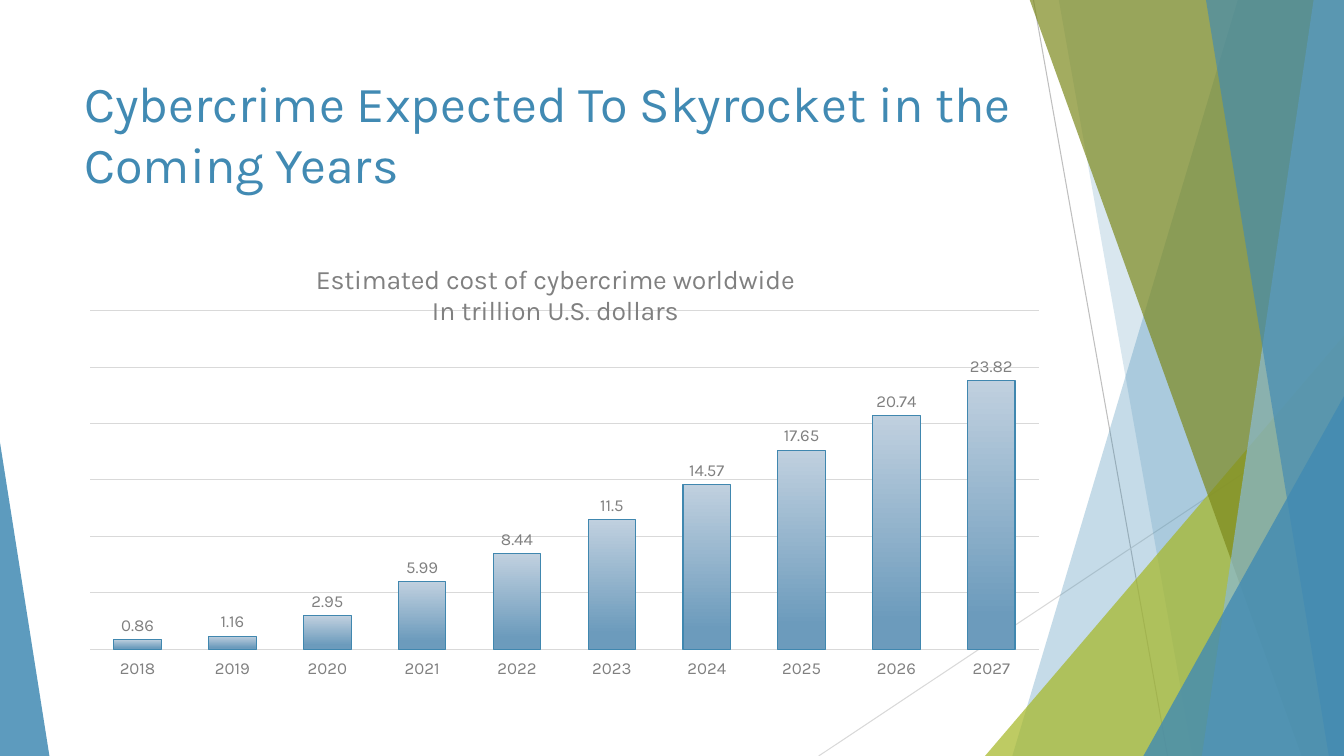
from lxml import etree
from pptx import Presentation
from pptx.chart.data import CategoryChartData
from pptx.dml.color import RGBColor
from pptx.enum.chart import XL_CHART_TYPE, XL_LABEL_POSITION, XL_TICK_LABEL_POSITION, XL_TICK_MARK
from pptx.enum.shapes import MSO_CONNECTOR, MSO_SHAPE
from pptx.enum.text import MSO_ANCHOR, PP_ALIGN
from pptx.oxml import parse_xml
from pptx.oxml.ns import nsdecls, qn
from pptx.util import Inches, Pt

COLUMN = XL_CHART_TYPE.COLUMN_CLUSTERED
OUTSIDE_END = XL_LABEL_POSITION.OUTSIDE_END
NO_TICK = XL_TICK_MARK.NONE
LOW = XL_TICK_LABEL_POSITION.LOW
STRAIGHT = MSO_CONNECTOR.STRAIGHT
TRIANGLE = MSO_SHAPE.ISOSCELES_TRIANGLE
TOP = MSO_ANCHOR.TOP
LEFT = PP_ALIGN.LEFT
CENTER = PP_ALIGN.CENTER

BLUE = RGBColor(0x41, 0x8A, 0xB3)
LIGHT_BLUE = RGBColor(0x8A, 0xBA, 0xD4)
GREEN = RGBColor(0xA6, 0xB7, 0x27)
OLIVE = RGBColor(0x7D, 0x89, 0x1D)
GRAY = RGBColor(0x80, 0x80, 0x80)
LINE_GRAY = RGBColor(0xBF, 0xBF, 0xBF)
GRID_GRAY = RGBColor(0xD9, 0xD9, 0xD9)
BAR_TOP = RGBColor(0xC0, 0xD0, 0xDF)
BAR_BOTTOM = RGBColor(0x6C, 0x9B, 0xBC)
BAR_LINE = RGBColor(0x40, 0x87, 0xAF)
FONT = "Karla"
WIDTH, HEIGHT = 13.33, 7.5
BAND_TOP = -0.01

TITLE = "Cybercrime Expected To Skyrocket in the\vComing Years"
CHART_TITLE = ["Estimated cost of cybercrime worldwide", "In trillion U.S. dollars"]
COSTS = {
    "2018": 0.86, "2019": 1.16, "2020": 2.95, "2021": 5.99, "2022": 8.44,
    "2023": 11.5, "2024": 14.57, "2025": 17.65, "2026": 20.74, "2027": 23.82,
}
THIN_LINES = [
    ((10.25, 0), (11.58, HEIGHT), LINE_GRAY),
    ((WIDTH, 4.03), (8.12, HEIGHT), GRID_GRAY),
]
FACETS = [
    ("band", (12.28, 10.04), BLUE, 30),
    ("band", (10.5, 11.83), BLUE, 20),
    ("triangle", (9.77, 3.33, 3.56, 1), GREEN, 72),
    ("band", (10.21, 12.91), OLIVE, 70),
    ("band", (13.03, 11.92), LIGHT_BLUE, 70),
    ("band", (11.96, 13.18), BLUE, 65),
    ("triangle", (11.34, 3.93, 1.99, 1), BLUE, 80),
    ("triangle", (0, 4.39, 0.49, 0), BLUE, 85),
]


def add_thin_line(slide, start, end, color):
    line = slide.shapes.add_connector(STRAIGHT, *map(Inches, start + end))
    line.line.color.rgb = color
    line.line.width = Pt(0.75)
    etree.SubElement(line._element.spPr, qn("a:effectLst"))


def add_band(slide, top_x, bottom_x):
    corners = [(WIDTH, BAND_TOP), (WIDTH, HEIGHT), (bottom_x, HEIGHT)]
    builder = slide.shapes.build_freeform(Inches(top_x), Inches(BAND_TOP))
    builder.add_line_segments([(Inches(x), Inches(y)) for x, y in corners])
    return builder.convert_to_shape()


def add_triangle(slide, left, top, width, apex):
    box = map(Inches, (left, top, width, HEIGHT - top))
    shape = slide.shapes.add_shape(TRIANGLE, *box)
    shape.adjustments[0] = apex
    return shape


def add_facet(slide, kind, geometry, color, opacity):
    shape = {"band": add_band, "triangle": add_triangle}[kind](slide, *geometry)
    shape.shadow.inherit = False
    shape.line.fill.background()
    shape.fill.solid()
    shape.fill.fore_color.rgb = color
    color_element = shape._element.spPr.find(qn("a:solidFill"))[0]
    etree.SubElement(color_element, qn("a:alpha")).set("val", str(opacity * 1000))


def style_font(font, size, color):
    font.name = FONT
    font.size = Pt(size)
    font.bold = False
    font.color.rgb = color


def add_title(slide):
    box = slide.shapes.add_textbox(*map(Inches, (0.74, 0.67, 9.4, 1.44)))
    frame = box.text_frame
    frame.word_wrap = True
    frame.vertical_anchor = TOP
    frame.text = TITLE
    paragraph = frame.paragraphs[0]
    paragraph.alignment = LEFT
    for run in paragraph.runs:
        style_font(run.font, 36, BLUE)


def make_layout(target, **bounds):
    modes = "".join(f'<c:{axis}Mode val="edge"/>' for axis in "xy")
    values = "".join(f'<c:{name} val="{value}"/>' for name, value in bounds.items())
    return parse_xml(
        f"<c:layout {nsdecls('c')}><c:manualLayout>{target}{modes}{values}"
        "</c:manualLayout></c:layout>"
    )


def replace_layout(parent, layout, index):
    for old in parent.findall(qn("c:layout")):
        parent.remove(old)
    parent.insert(index, layout)


def style_chart_title(chart):
    frame = chart.chart_title.text_frame
    frame.text = "\n".join(CHART_TITLE)
    for paragraph in frame.paragraphs:
        paragraph.alignment = CENTER
        for run in paragraph.runs:
            style_font(run.font, 19, GRAY)
    chart.chart_title.include_in_layout = False
    replace_layout(chart.chart_title._element, make_layout("", x=0.245, y=0.05), 1)


def style_axes(chart):
    category_axis = chart.category_axis
    category_axis.major_tick_mark = NO_TICK
    category_axis.minor_tick_mark = NO_TICK
    category_axis.tick_label_position = LOW
    category_axis.format.line.color.rgb = GRID_GRAY
    category_axis.format.line.width = Pt(0.75)
    style_font(category_axis.tick_labels.font, 12, GRAY)

    value_axis = chart.value_axis
    value_axis.minimum_scale = 0
    value_axis.maximum_scale = 30
    value_axis.major_unit = 5
    value_axis.has_major_gridlines = True
    value_axis.major_gridlines.format.line.color.rgb = GRID_GRAY
    value_axis.major_gridlines.format.line.width = Pt(0.75)
    value_axis.visible = False


def style_bars(plot):
    plot.vary_by_categories = False
    plot.gap_width = 100
    plot.overlap = -24
    bar_format = plot.series[0].format
    bar_format.fill.gradient()
    bar_format.fill.gradient_angle = 270
    stops = [(0, BAR_TOP), (0.88, BAR_BOTTOM)]
    for stop, (position, color) in zip(bar_format.fill.gradient_stops, stops):
        stop.position = position
        stop.color.rgb = color
    bar_format.line.color.rgb = BAR_LINE
    bar_format.line.width = Pt(0.75)
    plot.has_data_labels = True
    labels = plot.data_labels
    labels.show_value = True
    labels.position = OUTSIDE_END
    style_font(labels.font, 12, GRAY)


def add_cost_chart(slide):
    data = CategoryChartData()
    data.categories = list(COSTS)
    data.add_series("Series 1", list(COSTS.values()))
    box = map(Inches, (0.74, 2.36, 9.64, 4.47))
    chart = slide.shapes.add_chart(COLUMN, *box, data).chart
    chart.has_legend = False
    chart.font.name = FONT
    chart.font.size = Pt(10)
    style_chart_title(chart)
    style_axes(chart)
    style_bars(chart.plots[0])
    plot_area = chart._chartSpace.chart.plotArea
    inner = '<c:layoutTarget val="inner"/>'
    replace_layout(plot_area, make_layout(inner, x=0.016, y=0.162, w=0.976, h=0.751), 0)


def main():
    presentation = Presentation()
    presentation.slide_width = Inches(WIDTH)
    presentation.slide_height = Inches(HEIGHT)
    slide = presentation.slides.add_slide(presentation.slide_layouts[6])
    for thin_line in THIN_LINES:
        add_thin_line(slide, *thin_line)
    for facet in FACETS:
        add_facet(slide, *facet)
    add_title(slide)
    add_cost_chart(slide)
    presentation.save("out.pptx")


if __name__ == "__main__":
    main()
